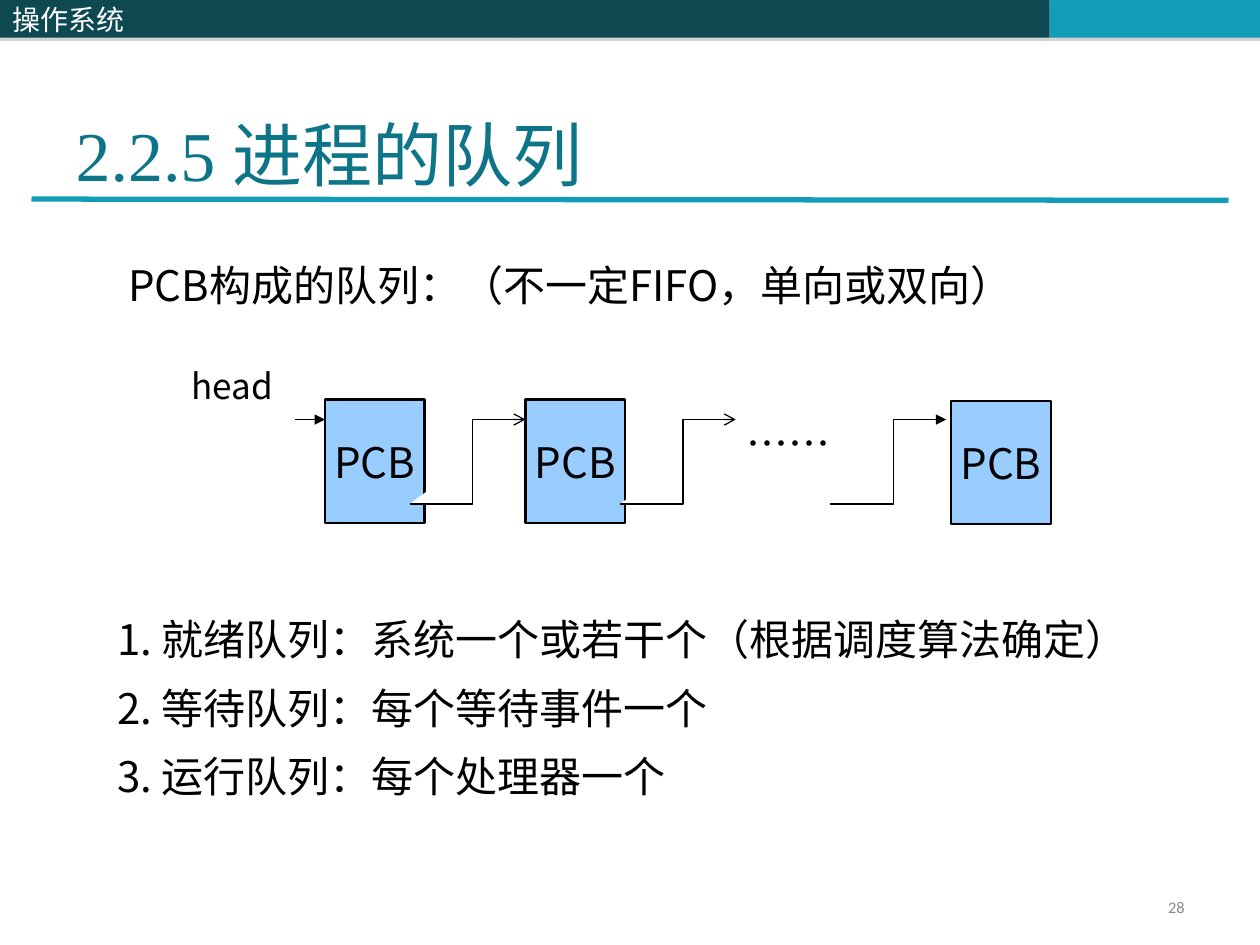
from dataclasses import dataclass
from lxml import etree
from pptx import Presentation
from pptx import util as u
from pptx.dml.color import RGBColor
from pptx.enum import shapes, text
from pptx.oxml import ns

Inches, Pt = u.Inches, u.Pt


@dataclass(frozen=True)
class Theme:
    dark: str = "0E4851"
    teal: str = "139CB7"
    title: str = "0E7589"
    box: str = "99CCFF"
    ink: str = "000000"
    white: str = "FFFFFF"
    gray: str = "898989"
    shade: str = "808080"
    sans: str = "Noto Sans CJK SC"
    serif: str = "Times New Roman"
    small: str = "Calibri"
    big: float = 40
    body: float = 24
    label: float = 20
    bar: float = 16
    page: float = 9.3
    lines: float = 0.83  # line pitch of body text
    gap: float = 15      # space between list items


T = Theme()


def rgb(code):
    return RGBColor.from_string(code)


def node(parent, tag, **attrs):
    return etree.SubElement(parent, ns.qn(tag), attrs)


def place(shape, left, top, width, height):
    shape.left, shape.top = Inches(left), Inches(top)
    shape.width, shape.height = Inches(width), Inches(height)


def write(par, words, size, color=T.ink, face=T.sans, align="LEFT", pitch=1.0):
    par.alignment = getattr(text.PP_ALIGN, align)
    par.line_spacing = pitch
    par.space_before = Pt(0)
    run = par.add_run()
    run.text = words
    run.font.size, run.font.name = Pt(size), face
    run.font.color.rgb = rgb(color)
    node(run.font._element, "a:ea", typeface=T.sans)


def setup(shape, anchor="TOP", wrap=True):
    frame = shape.text_frame
    frame.auto_size = text.MSO_AUTO_SIZE.NONE
    frame.word_wrap = wrap
    frame.vertical_anchor = getattr(text.MSO_ANCHOR, anchor)
    return frame


def rect(slide, spot, fill, edge=None):
    shape = slide.shapes.add_shape(
        shapes.MSO_SHAPE.RECTANGLE, *map(Inches, spot))
    shape.fill.solid()
    shape.fill.fore_color.rgb = rgb(fill)
    if edge:
        shape.line.color.rgb = rgb(T.ink)
        shape.line.width = Pt(edge)
    else:
        shape.line.fill.background()
    shape.shadow.inherit = False
    return shape


def band(slide, left, width, fill):
    shape = rect(slide, (left, 0, width, 0.3), fill)
    effect = shape._element.spPr.find(ns.qn("a:effectLst"))
    shadow = node(effect, "a:outerShdw", dist=str(Pt(1.8)), dir="5400000")
    color = node(shadow, "a:srgbClr", val=T.shade)
    node(color, "a:alpha", val="35000")
    return shape


def stroke(shape, color, width, head=None):
    shape.line.color.rgb = rgb(color)
    shape.line.width = Pt(width)
    props = shape._element.spPr
    if head:
        node(props.find(ns.qn("a:ln")), "a:tailEnd", type=head)
    if props.find(ns.qn("a:effectLst")) is None:
        node(props, "a:effectLst")


def line(slide, start, end, color, width, head=None):
    wire = slide.shapes.add_connector(
        shapes.MSO_CONNECTOR.STRAIGHT, *map(Inches, start + end))
    stroke(wire, color, width, head)


def step(slide, left, head):
    low, high, mid = 4, 3.33, left + 0.5
    points = [(left, low), (mid, low), (mid, high), (left + 0.92, high)]
    points = [(Inches(x), Inches(y)) for x, y in points]
    path = slide.shapes.build_freeform(*points[0], scale=1.0)
    path.add_line_segments(points[1:], close=False)
    shape = path.convert_to_shape()
    shape.fill.solid()
    shape.fill.fore_color.rgb = rgb(T.white)
    shape.shadow.inherit = False
    stroke(shape, T.ink, 0.75, head)


def block(slide, left, top):
    shape = rect(slide, (left, top, 0.79, 0.98), T.box, 1.25)
    frame = setup(shape, "MIDDLE", wrap=False)
    write(frame.paragraphs[0], "PCB", T.body, align="CENTER")


def label(slide, words, spot, size):
    frame = setup(rect(slide, spot, T.white))
    write(frame.paragraphs[0], words, size, pitch=T.lines)


def note(slide, words, spot, size, anchor="TOP", **style):
    frame = setup(slide.shapes.add_textbox(*map(Inches, spot)), anchor)
    write(frame.paragraphs[0], words, size, **style)


def items(shape, rows):
    frame = setup(shape)
    for i, row in enumerate(rows):
        par = frame.add_paragraph() if i else frame.paragraphs[0]
        props = par._p.get_or_add_pPr()
        props.set("marL", "0")
        props.set("indent", "0")
        node(props, "a:buNone")
        write(par, row, T.body, pitch=T.lines)
        if i:
            par.space_before = Pt(T.gap)


def main():
    deck = Presentation()
    deck.slide_width, deck.slide_height = Inches(10), Inches(7.5)
    slide = deck.slides.add_slide(deck.slide_layouts[1])
    title, body = slide.placeholders

    # Header band and rule
    band(slide, 4.08, 4.25, T.dark)
    band(slide, 8.33, 1.67, T.teal)
    course = setup(band(slide, 0, 4.08, T.dark), "MIDDLE")
    write(course.paragraphs[0], "操作系统", T.bar, T.white)
    line(slide, (0.25, 1.58), (9.75, 1.59), T.teal, 3)

    # Title and page number
    place(title, 0.5, 0.3, 9, 1.25)
    frame = setup(title, "BOTTOM")
    frame.margin_bottom = 0
    write(frame.paragraphs[0], "2.2.5 进程的队列", T.big, T.title, T.serif)
    note(slide, "28", (7.17, 7.08, 2.33, 0.27), T.page, "MIDDLE",
         color=T.gray, face=T.small, align="RIGHT", pitch=0.8)

    # Queue of control blocks
    for left, top in ((2.58, 3.17), (4.17, 3.17), (7.55, 3.18)):
        block(slide, left, top)
    line(slide, (1.83, 3.33), (2.58, 3.33), T.ink, 0.75, "triangle")
    for i, head in enumerate(("arrow", "arrow", "triangle")):
        step(slide, 3.25 + i * 1.67, head)
    label(slide, "……", (5.83, 3.33, 1.08, 0.5), T.body)
    label(slide, "head", (1.42, 2.9, 0.92, 0.44), T.label)

    # Lead line and list of queues
    note(slide, "PCB构成的队列：（不一定FIFO，单向或双向）",
         (0.92, 2.08, 7.79, 0.5), T.body, pitch=T.lines)
    place(body, 0.83, 4.89, 8.25, 2.12)
    items(body, (
        "1. 就绪队列：系统一个或若干个（根据调度算法确定）",
        "2. 等待队列：每个等待事件一个",
        "3. 运行队列：每个处理器一个",
    ))

    deck.save("out.pptx")


if __name__ == "__main__":
    main()
